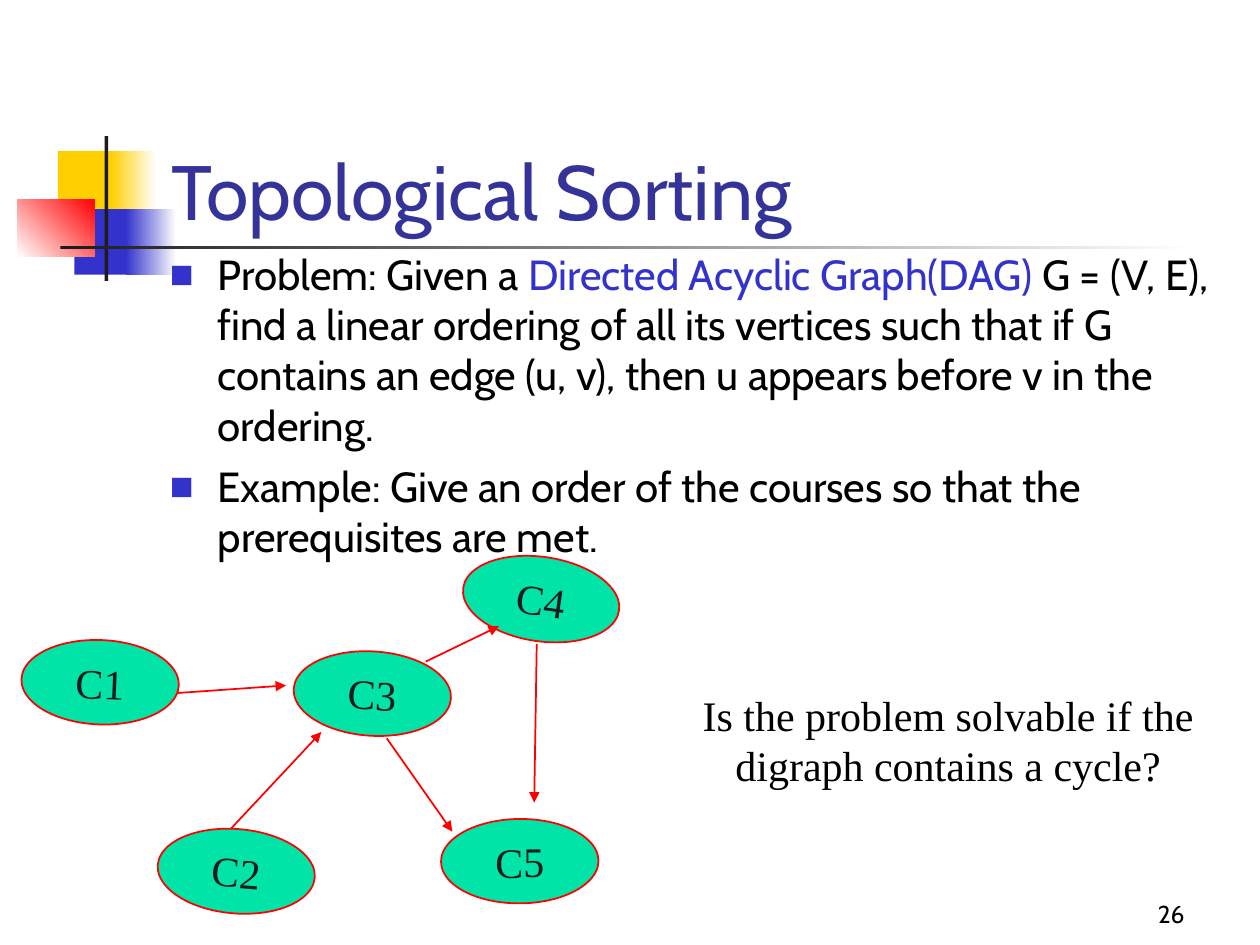
from dataclasses import dataclass

from lxml import etree
from pptx import Presentation
from pptx.dml.color import RGBColor
from pptx.enum.shapes import MSO_CONNECTOR, MSO_SHAPE
from pptx.enum.text import MSO_ANCHOR, PP_ALIGN
from pptx.oxml.ns import qn
from pptx.util import Inches, Pt

RECT, OVAL = MSO_SHAPE.RECTANGLE, MSO_SHAPE.OVAL
STRAIGHT = MSO_CONNECTOR.STRAIGHT
TOP, MIDDLE, BOTTOM = MSO_ANCHOR.TOP, MSO_ANCHOR.MIDDLE, MSO_ANCHOR.BOTTOM
LEFT, CENTER, RIGHT = PP_ALIGN.LEFT, PP_ALIGN.CENTER, PP_ALIGN.RIGHT


@dataclass(frozen=True)
class Theme:
    sans: str = "Cabin"
    serif: str = "Times New Roman"
    title_size: int = 44
    text_size: int = 24
    number_size: int = 14
    title: str = "333399"
    text: str = "000000"
    dark: str = "1C1C1C"
    blue: str = "3333CC"
    yellow: str = "FFCF01"
    red: str = "FF0000"
    white: str = "FFFFFF"
    node: str = "00E4A8"


THEME = Theme()


def rgb(value):
    return RGBColor.from_string(value)


def add_run(p, text, *, size=THEME.text_size, font=THEME.sans, color=THEME.text):
    r = p.add_run()
    r.text = text
    r.font.size = Pt(size)
    r.font.name = font
    r.font.color.rgb = rgb(color)


def add_textbox(slide, box, anchor=TOP):
    tf = slide.shapes.add_textbox(*map(Inches, box)).text_frame
    tf.word_wrap = True
    tf.vertical_anchor = anchor
    return tf


def add_text(slide, box, text, *, anchor=TOP, align=LEFT, **fmt):
    p = add_textbox(slide, box, anchor).paragraphs[0]
    p.alignment = align
    add_run(p, text, **fmt)


def add_block(slide, box, start, end=None, angle=0):
    """Borderless rectangle, solid or fading from start to end."""
    sp = slide.shapes.add_shape(RECT, *map(Inches, box))
    sp.shadow.inherit = False
    sp.line.fill.background()
    if end is None:
        sp.fill.solid()
        sp.fill.fore_color.rgb = rgb(start)
        return
    sp.fill.gradient()
    sp.fill.gradient_angle = angle
    stops = sp.fill.gradient_stops
    for stop, color, position in zip(stops, (start, end), (0, 1)):
        stop.color.rgb = rgb(color)
        stop.position = position


def add_ornament(slide, box):
    x, y, width, height = box
    t = THEME
    add_block(slide, (x + 0.32, y + 0.12, 0.48, 0.52), t.yellow)
    add_block(slide, (x + 0.74, y + 0.12, 0.36, 0.52), t.yellow, t.white)
    add_block(slide, (x + 0.45, y + 0.58, 0.46, 0.52), t.blue)
    add_block(slide, (x + 0.86, y + 0.58, 0.4, 0.52), t.blue, t.white)
    add_block(slide, (x, y + 0.5, 0.61, 0.46), t.white, t.red, angle=45)
    # Crossing rules
    add_block(slide, (x + 0.69, y, 0.03, height), t.dark)
    add_block(slide, (x + 0.34, y + 0.87, width - 0.34, 0.03), t.dark, t.white)


def set_bullet(p, indent):
    pPr = p._p.get_or_add_pPr()
    pPr.set("marL", str(Inches(indent)))
    pPr.set("indent", str(-Inches(indent)))
    color = etree.SubElement(pPr, qn("a:buClr"))
    etree.SubElement(color, qn("a:srgbClr"), val=THEME.blue)
    etree.SubElement(pPr, qn("a:buSzPct"), val="60000")
    etree.SubElement(pPr, qn("a:buFont"), typeface=THEME.sans)
    etree.SubElement(pPr, qn("a:buChar"), char="■")


def add_bullets(slide, box, items):
    tf = add_textbox(slide, box)
    for i, runs in enumerate(items):
        p = tf.paragraphs[0] if i == 0 else tf.add_paragraph()
        p.space_before = Pt(6)
        set_bullet(p, 0.38)
        for text, color in runs:
            add_run(p, text, color=color)


def add_node(slide, box, label, rotation):
    sp = slide.shapes.add_shape(OVAL, *map(Inches, box))
    sp.shadow.inherit = False
    sp.rotation = rotation
    sp.fill.solid()
    sp.fill.fore_color.rgb = rgb(THEME.node)
    sp.line.color.rgb = rgb(THEME.red)
    sp.line.width = Pt(1)
    tf = sp.text_frame
    tf.word_wrap = False
    tf.vertical_anchor = MIDDLE
    p = tf.paragraphs[0]
    p.alignment = CENTER
    add_run(p, label, font=THEME.serif, color=THEME.dark)


def add_arrow(slide, start, end):
    cxn = slide.shapes.add_connector(STRAIGHT, *map(Inches, start + end))
    cxn.line.color.rgb = rgb(THEME.red)
    cxn.line.width = Pt(1)
    etree.SubElement(cxn.line._get_or_add_ln(), qn("a:tailEnd"), type="triangle")
    etree.SubElement(cxn._element.spPr, qn("a:effectLst"))


def add_course_graph(slide, box):
    x, y, _, _ = box
    # Courses: label, offset in the box, rotation
    nodes = [
        ("C1", 0, 0.66, 2.3),
        ("C3", 2.16, 0.75, 3.5),
        ("C2", 1.08, 2.16, 4.7),
        ("C5", 3.33, 2.08, -0.4),
        ("C4", 3.5, 0, 8.3),
    ]
    for label, dx, dy, rotation in nodes:
        add_node(slide, (x + dx, y + dy, 1.25, 0.67), label, rotation)
    # Prerequisites: start and end offsets in the box
    edges = [
        ((3.21, 0.83), (3.79, 0.55)),  # C3 to C4
        ((1.24, 1.08), (2.1, 1.02)),   # C1 to C3
        ((2.9, 1.44), (3.42, 2.18)),   # C3 to C5
        ((1.66, 2.16), (2.38, 1.39)),  # C2 to C3
        ((4.09, 0.69), (4.07, 1.95)),  # C4 to C5
    ]
    for (x1, y1), (x2, y2) in edges:
        add_arrow(slide, (x + x1, y + y1), (x + x2, y + y2))


def main():
    prs = Presentation()
    prs.slide_width, prs.slide_height = Inches(10), Inches(7.5)
    slide = prs.slides.add_slide(prs.slide_layouts[6])

    add_ornament(slide, (0.14, 1.08, 9.34, 1.15))
    add_text(slide, (7.42, 6.92, 2.08, 0.5), "26", anchor=BOTTOM, align=RIGHT,
             size=THEME.number_size)
    add_text(slide, (1.26, 0.67, 8.52, 1.25), "Topological Sorting",
             anchor=BOTTOM, size=THEME.title_size, color=THEME.title)
    add_bullets(slide, (1.25, 1.92, 8.5, 4.5), [
        [("Problem: Given a ", THEME.text),
         ("Directed Acyclic Graph(DAG)", THEME.blue),
         (" G = (V, E), find a linear ordering of all its vertices such that "
          "if G contains an edge (u, v), then u appears before v in the "
          "ordering.", THEME.text)],
        [("Example: Give an order of the courses so that the prerequisites "
          "are met.", THEME.text)],
    ])
    add_course_graph(slide, (0.17, 4.42, 4.75, 2.83))
    add_text(slide, (5.33, 5.42, 4.39, 0.9),
             "Is the problem solvable if the digraph contains a cycle?",
             align=CENTER, font=THEME.serif)
    prs.save("out.pptx")


if __name__ == "__main__":
    main()
